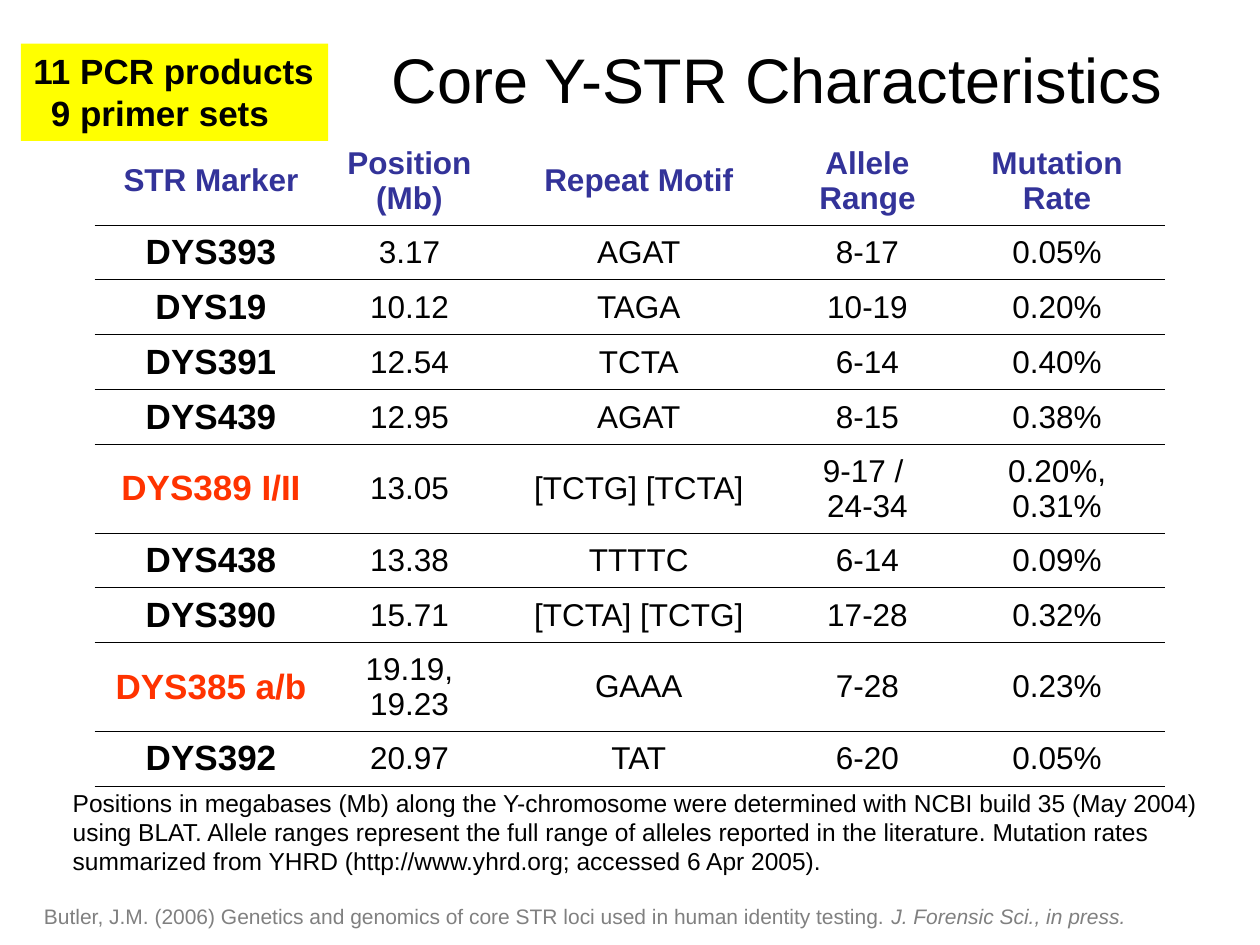
from dataclasses import dataclass

from lxml.etree import SubElement
from pptx import Presentation
from pptx.dml.color import RGBColor
from pptx.enum.shapes import MSO_SHAPE
from pptx.enum.text import MSO_ANCHOR, PP_ALIGN
from pptx.oxml.ns import qn
from pptx.util import Pt


@dataclass(frozen=True)
class Theme:
    font: str = "Arial"
    ink: str = "000000"
    heading: str = "333399"
    multi_copy: str = "FF3300"
    highlight: str = "FFFF00"
    muted: str = "808080"
    title_size: int = 36
    label_size: int = 20
    body_size: int = 18
    note_size: int = 14
    citation_size: int = 12
    rule_width: float = 0.45


theme = Theme()


def style_text(frame, size, color=theme.ink, bold=False, align=PP_ALIGN.LEFT):
    for para in frame.paragraphs:
        para.alignment = align
        for span in para.runs:
            span.font.name = theme.font
            span.font.size = Pt(size)
            span.font.bold = bold
            span.font.color.rgb = RGBColor.from_string(color)


def add_border(cell, side, visible):
    """Draw or hide one cell border; call in the order lnL, lnR, lnT, lnB."""
    line = SubElement(cell._tc.get_or_add_tcPr(), qn(f"a:{side}"), w=str(Pt(theme.rule_width)))
    if visible:
        fill = SubElement(line, qn("a:solidFill"))
        SubElement(fill, qn("a:srgbClr"), val=theme.ink)
    else:
        SubElement(line, qn("a:noFill"))


deck = Presentation()
deck.slide_width, deck.slide_height = Pt(720), Pt(540)
slide = deck.slides.add_slide(deck.slide_layouts[6])
shapes = slide.shapes

# Title
title = shapes.add_textbox(Pt(192), Pt(12), Pt(504), Pt(66)).text_frame
title.word_wrap = True
title.vertical_anchor = MSO_ANCHOR.MIDDLE
title.text = "Core Y-STR Characteristics"
style_text(title, theme.title_size, align=PP_ALIGN.CENTER)

# Marker table
header = ["STR Marker", "Position (Mb)", "Repeat Motif", "Allele Range", "Mutation Rate"]
markers = [
    ["DYS393", "3.17", "AGAT", "8-17", "0.05%"],
    ["DYS19", "10.12", "TAGA", "10-19", "0.20%"],
    ["DYS391", "12.54", "TCTA", "6-14", "0.40%"],
    ["DYS439", "12.95", "AGAT", "8-15", "0.38%"],
    ["DYS389 I/II", "13.05", "[TCTG] [TCTA]", "9-17 / \n24-34", "0.20%, 0.31%"],
    ["DYS438", "13.38", "TTTTC", "6-14", "0.09%"],
    ["DYS390", "15.71", "[TCTA] [TCTG]", "17-28", "0.32%"],
    ["DYS385 a/b", "19.19, 19.23", "GAAA", "7-28", "0.23%"],
    ["DYS392", "20.97", "TAT", "6-20", "0.05%"],
]
multi_copy_markers = {"DYS389 I/II", "DYS385 a/b"}
column_widths = [133.2, 93.6, 168.5, 92.9, 123.8]
single_height, double_height = 31.4, 50.5
double_rows = {0, 5, 8}
rows = [header] + markers
row_heights = [double_height if i in double_rows else single_height for i in range(len(rows))]

table = shapes.add_table(
    len(rows), len(header), Pt(54), Pt(78), Pt(sum(column_widths)), Pt(sum(row_heights))
).table
table.horz_banding = False
for column, width in zip(table.columns, column_widths):
    column.width = Pt(width)
for row, height in zip(table.rows, row_heights):
    row.height = Pt(height)

for i, values in enumerate(rows):
    for j, value in enumerate(values):
        cell = table.cell(i, j)
        cell.text_frame.text = value
        cell.vertical_anchor = MSO_ANCHOR.MIDDLE
        if i == 0:
            size, color, bold = theme.body_size, theme.heading, True
        elif j == 0:
            color = theme.multi_copy if value in multi_copy_markers else theme.ink
            size, bold = theme.label_size, True
        else:
            size, color, bold = theme.body_size, theme.ink, False
        style_text(cell.text_frame, size, color, bold, PP_ALIGN.CENTER)
        for side, visible in [("lnL", False), ("lnR", False), ("lnT", i > 0), ("lnB", True)]:
            add_border(cell, side, visible)
        cell.fill.background()

# Note on the data
note = shapes.add_textbox(Pt(34.5), Pt(446.5), Pt(667.5), Pt(57.5)).text_frame
note.word_wrap = True
note.text = (
    "Positions in megabases (Mb) along the Y-chromosome were determined with NCBI build 35 "
    "(May 2004) using BLAT. Allele ranges represent the full range of alleles reported in the "
    "literature. Mutation rates summarized from YHRD (http://www.yhrd.org; accessed 6 Apr 2005)."
)
style_text(note, theme.note_size)

# Citation
citation = shapes.add_textbox(Pt(18), Pt(512.5), Pt(633), Pt(21.5)).text_frame
citation.word_wrap = False
citation.text = (
    "Butler, J.M. (2006) Genetics and genomics of core STR loci used in human identity testing. "
)
journal = citation.paragraphs[0].add_run()
journal.text = "J. Forensic Sci., in press."
style_text(citation, theme.citation_size, theme.muted)
journal.font.italic = True

# Highlighted product count
callout = shapes.add_shape(MSO_SHAPE.RECTANGLE, Pt(12), Pt(25), Pt(175.5), Pt(55.5))
callout.shadow.inherit = False
callout.fill.solid()
callout.fill.fore_color.rgb = RGBColor.from_string(theme.highlight)
callout.line.fill.background()
counts = callout.text_frame
counts.word_wrap = False
counts.vertical_anchor = MSO_ANCHOR.TOP
counts.text = "11 PCR products\n9 primer sets"
counts.paragraphs[1]._p.get_or_add_pPr().set("marL", str(Pt(10)))
style_text(counts, theme.label_size, bold=True)

deck.save("out.pptx")
